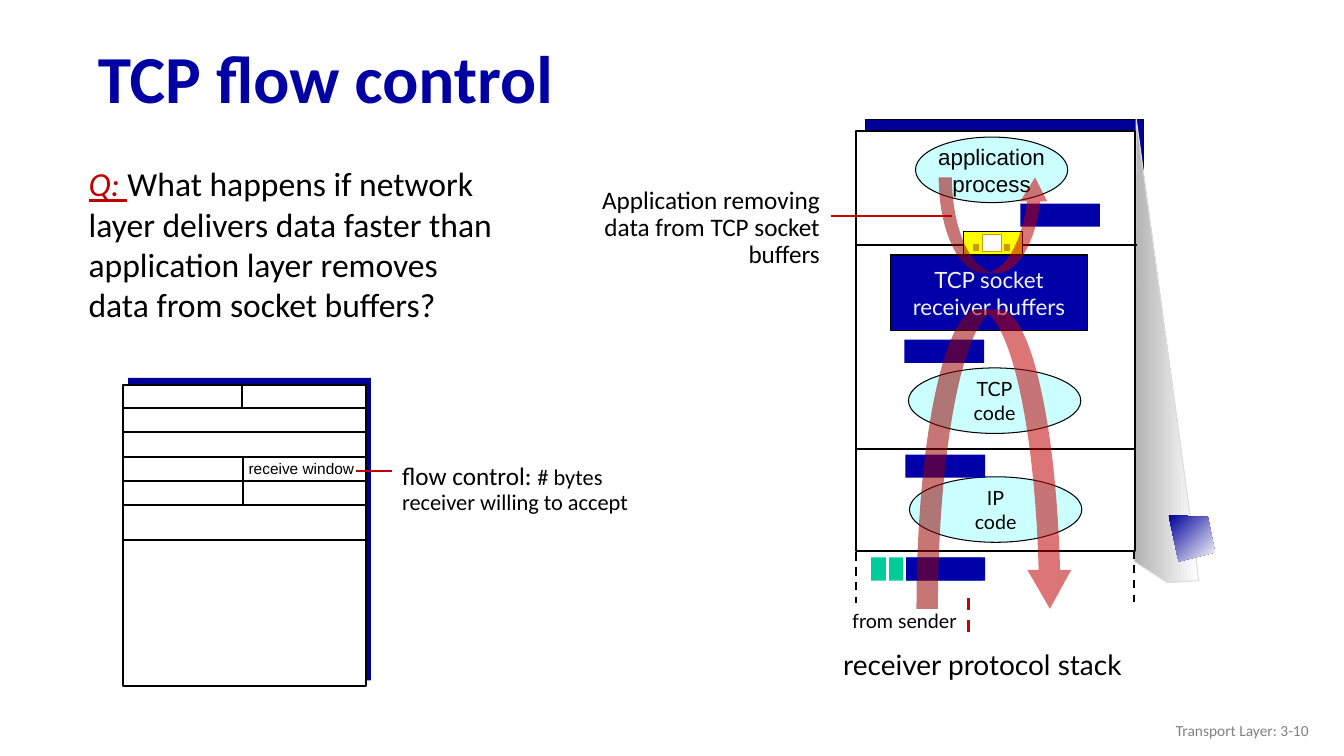
from pptx import Presentation
from pptx.dml.color import RGBColor
from pptx.enum.dml import MSO_LINE
from pptx.enum.shapes import MSO_CONNECTOR, MSO_SHAPE as SHAPE
from pptx.enum.text import MSO_ANCHOR as ANCHOR, PP_ALIGN as ALIGN
from pptx.oxml.ns import qn
from pptx.util import Inches, Pt
from lxml.etree import SubElement

COLORS = {
    "title": "0000A3", "navy": "000099", "packet": "0000A8", "cyan": "CCFFFF",
    "white": "FFFFFF", "black": "000000", "yellow": "FFFF00", "gold": "CC9900",
    "green": "00CC99", "red": "C00000", "callout": "CC0000", "pale": "F2F2F2",
    "gray": "808080", "beam": "B2B2B2", "beam edge": "DDDDDD",
}

TITLE = "TCP flow control"
QUESTION = [[
    ("Q: ", {"color": "red", "italic": True, "underline": True}),
    ("What happens if network layer delivers data faster than "
     "application layer removes data from socket buffers?", {}),
]]
WINDOW_NOTE = [[
    ("flow control: ", {"size": 18}),
    ("# bytes receiver willing to accept", {}),
]]
REMOVAL_NOTE = ["Application removing data from TCP socket buffers"]
FOOTER = ["Transport Layer: 3-10"]

# Receiver stack: (left, top, width, height)
STACK = (8.49, 1.3, 2.77, 4.17)
STACK_SHADE = (8.58, 1.19, 2.76, 4.22)
LAYER_BORDERS = [(8.48, 11.27, 4.45), (8.5, 11.28, 2.43)]
STACK_TAILS = [(8.49, 5.48, 5.98), (11.25, 5.46, 5.97)]
LAYER_CODE = [
    (["application", "process"], (9.08, 1.36, 1.51, 0.65), "Arial", 16),
    (["TCP", "code"], (9.01, 3.65, 1.71, 0.65), "Lato", 14),
    (["IP", "code"], (9.02, 4.73, 1.71, 0.65), "Lato", 14),
]
BUFFERS = (["TCP socket", "receiver buffers"], (8.83, 2.53, 1.96, 0.75))
SOCKET = [
    ((9.56, 2.3, 0.58, 0.23), "yellow", "black"),
    ((9.74, 2.33, 0.19, 0.17), "white", "gold"),
    ((9.96, 2.43, 0.05, 0.06), "gold", "gold"),
    ((9.66, 2.43, 0.05, 0.06), "gold", "gold"),
]
PACKET_SIZE = (0.79, 0.23)
PACKETS = [(8.97, 3.37), (8.98, 4.51), (8.98, 5.53)]
REMOVED_PACKET = (10.12, 2.02)
HEADERS = (8.64, 5.53, 1.1, 0.23)
HEADER_GAPS = [8.8, 8.97]
BEAM = [(11.89, 5.76), (11.27, 1.18), (11.25, 5.57), (11.58, 5.78)]
HOST = [(11.59, 5.11), (11.98, 5.13), (12.05, 5.48), (11.69, 5.57)]
ARRIVAL_ARROW = (9.09, 3.07, 1.54, 2.97)
REMOVAL_ARROW = (9.31, 1.76, 1.09, 0.95)

# TCP segment
SEGMENT_SHADE = (1.27, 3.75, 2.41, 3)
SEGMENT = (1.22, 3.82, 2.41, 2.99)
ROW_PITCH = 0.24
EQUAL_ROWS = 5
OPTIONS_BOTTOM = 5.36
FIELD_SPLITS = [(2.4, 3.82, 4.05), (2.41, 4.53, 5.01)]

prs = Presentation()
prs.slide_width, prs.slide_height = Inches(13.33), Inches(7.5)
slide = prs.slides.add_slide(prs.slide_layouts[5])
shapes = slide.shapes


def rgb(name):
    return RGBColor.from_string(COLORS[name])


def write(holder, paragraphs, size=14, font="Lato", color="black", bold=False,
          align=ALIGN.LEFT, anchor=ANCHOR.TOP, wrap=True, spacing=None):
    """Fill a holder; a paragraph is a string or a list of (text, format) runs."""
    frame = holder.text_frame
    frame.word_wrap, frame.vertical_anchor = wrap, anchor
    for number, runs in enumerate(paragraphs):
        paragraph = frame.add_paragraph() if number else frame.paragraphs[0]
        paragraph.alignment = align
        if spacing:
            paragraph.line_spacing = spacing
        for text, own in [(runs, {})] if isinstance(runs, str) else runs:
            run = paragraph.add_run()
            run.text = text
            run.font.name, run.font.bold = font, bold
            run.font.size = Pt(own.get("size", size))
            run.font.italic = own.get("italic", False)
            run.font.underline = own.get("underline", False)
            run.font.color.rgb = rgb(own.get("color", color))


def label(paragraphs, at, **text_format):
    write(shapes.add_textbox(*map(Inches, at)), paragraphs, **text_format)


def outline(shape, color, width):
    shape.shadow.inherit = False
    if color:
        shape.line.color.rgb = rgb(color)
        shape.line.width = Pt(width)
    else:
        shape.line.fill.background()


def block(at, fill, edge=None, width=0.75, kind=SHAPE.RECTANGLE):
    shape = shapes.add_shape(kind, *map(Inches, at))
    shape.fill.solid()
    shape.fill.fore_color.rgb = rgb(fill)
    outline(shape, edge, width)
    return shape


def packet(corner):
    block((*corner, *PACKET_SIZE), "packet")


def rule(x1, y1, x2, y2, color="black", width=1.5, dashed=False):
    line = shapes.add_connector(MSO_CONNECTOR.STRAIGHT, *map(Inches, (x1, y1, x2, y2)))
    line.line.color.rgb = rgb(color)
    line.line.width = Pt(width)
    if dashed:
        line.line.dash_style = MSO_LINE.DASH
    SubElement(line._element.spPr, qn("a:effectLst"))


def gradient_polygon(points, start, angle, edge=None):
    corners = [(Inches(x), Inches(y)) for x, y in points]
    builder = shapes.build_freeform(*corners[0], scale=1.0)
    builder.add_line_segments(corners[1:], close=True)
    shape = builder.convert_to_shape()
    shape.fill.gradient()
    shape.fill.gradient_angle = angle
    for stop, color, position in zip(shape.fill.gradient_stops, (start, "white"), (0, 1)):
        stop.color.rgb = rgb(color)
        stop.position = position
    outline(shape, edge, 0.75)


def flow_arrow(at):
    """Translucent curved arrow showing the way of the data."""
    arrow = block(at, "red", kind=SHAPE.CURVED_DOWN_ARROW)
    for index, value in enumerate((0.138, 0.282, 0.25)):
        arrow.adjustments[index] = value
    color = arrow._element.spPr.find(qn("a:solidFill"))[0]
    SubElement(color, qn("a:alpha")).set("val", "54000")
    return arrow


def draw_stack():
    centered = {"align": ALIGN.CENTER, "anchor": ANCHOR.MIDDLE, "wrap": False}
    block(STACK_SHADE, "navy", "black")
    gradient_polygon(BEAM, "beam", 0, "beam edge")
    block(STACK, "white", "black", 1.5)
    for name, at, font, size in LAYER_CODE:
        write(block(at, "cyan", "black", kind=SHAPE.OVAL), name,
              font=font, size=size, **centered)
    name, at = BUFFERS
    write(block(at, "packet", "black"), name, size=16, color="pale", **centered)
    for left, right, y in LAYER_BORDERS:
        rule(left, y, right, y)
    for at, fill, edge in SOCKET:
        block(at, fill, edge)
    label(["receiver protocol stack"], (8.26, 6.37, 2.97, 0.43), size=20,
          align=ALIGN.CENTER, wrap=False)
    rule(9.61, 5.93, 9.61, 6.31, "callout", 2.25, dashed=True)
    for x, top, bottom in STACK_TAILS:
        rule(x, top, x, bottom, dashed=True)
    gradient_polygon(HOST, "navy", 315)
    block(HEADERS, "green")
    for corner in PACKETS:
        packet(corner)
    for x in HEADER_GAPS:
        rule(x, 5.53, x, 5.76, "white", 2.25)
    label(["from sender"], (8.35, 5.99, 1.24, 0.33), align=ALIGN.CENTER, wrap=False)
    flow_arrow(ARRIVAL_ARROW)
    rule(8.24, 2.14, 9.44, 2.14, "callout")
    label(REMOVAL_NOTE, (5.46, 1.81, 2.77, 0.92), size=18, font="Calibri",
          align=ALIGN.RIGHT, spacing=0.9)
    packet(REMOVED_PACKET)
    removal = flow_arrow(REMOVAL_ARROW)
    removal.rotation = 180
    removal._element.spPr.find(qn("a:xfrm")).set("flipH", "1")


def draw_segment():
    block(SEGMENT_SHADE, "navy")
    block(SEGMENT, "white", "black", 1.5)
    left, top, width, _ = SEGMENT
    rows = [top - 0.01 + ROW_PITCH * row for row in range(1, EQUAL_ROWS + 1)]
    for y in rows + [OPTIONS_BOTTOM]:
        rule(left, y, left + width, y)
    for x, start, end in FIELD_SPLITS:
        rule(x, start, x, end)
    label(["receive window"], (2.29, 4.51, 1.4, 0.33), size=11, font="Arial",
          align=ALIGN.CENTER, wrap=False)
    label(WINDOW_NOTE, (3.89, 4.55, 2.84, 0.62), size=16, font="Calibri", spacing=0.9)
    rule(3.89, 4.67, 3.53, 4.67, "red")


title = shapes.title
title.left, title.top, title.width, title.height = map(Inches, (0.87, 0.32, 12.46, 0.98))
write(title, [TITLE], size=48, font="Calibri", color="title", bold=True,
      anchor=ANCHOR.MIDDLE, spacing=0.9)
label(QUESTION, (0.78, 1.57, 4.21, 1.72), size=24, font="Calibri")
draw_stack()
draw_segment()
label(FOOTER, (10.08, 7.05, 3, 0.4), size=11, font="Calibri", color="gray",
      align=ALIGN.RIGHT, anchor=ANCHOR.MIDDLE)
prs.save("out.pptx")
